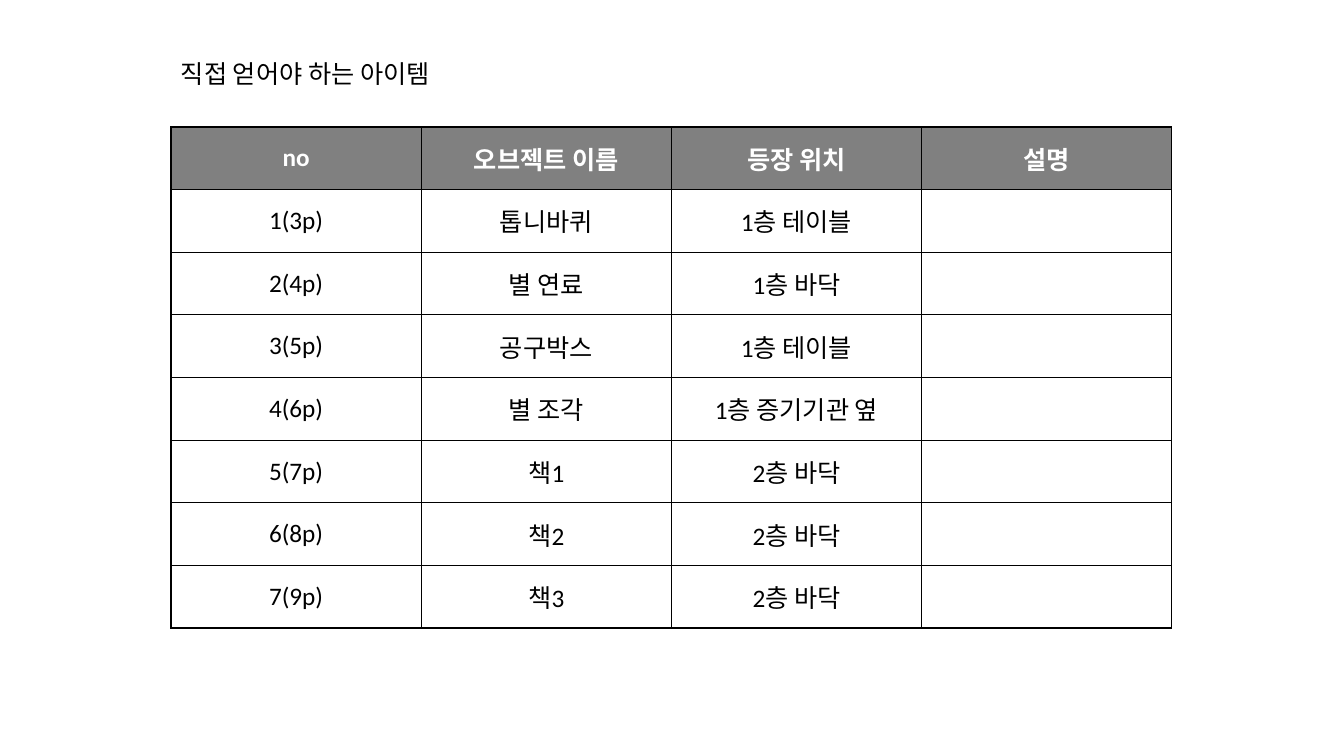
from pptx import Presentation
from pptx import util as u
from pptx.dml.color import RGBColor
from pptx.enum import text
from pptx.oxml import parse_xml
from pptx.oxml.ns import nsdecls

PX = 914400 / 100.8
BLACK = RGBColor(0x00, 0x00, 0x00)
WHITE = RGBColor(0xFF, 0xFF, 0xFF)
GRAY = RGBColor(0x80, 0x80, 0x80)

HEADINGS = ("no", "오브젝트 이름", "등장 위치", "설명")
ITEMS = (
    ("톱니바퀴", "1층 테이블"),
    ("별 연료", "1층 바닥"),
    ("공구박스", "1층 테이블"),
    ("별 조각", "1층 증기기관 옆"),
    ("책1", "2층 바닥"),
    ("책2", "2층 바닥"),
    ("책3", "2층 바닥"),
)


def px(*lengths):
    return [u.Emu(round(length * PX)) for length in lengths]


def add_run(para, words, color, bold=False):
    span = para.add_run()
    span.text = words
    span.font.name = "Calibri"
    span.font.size = u.Pt(18)
    span.font.bold = bold
    span.font.color.rgb = color


deck = Presentation()
deck.slide_width, deck.slide_height = px(1344, 756)
page = deck.slides.add_slide(deck.slide_layouts[6])

# Item table: numbers count from 1, pages from 3
rows = [HEADINGS]
for number, (name, place) in enumerate(ITEMS, start=1):
    rows.append((f"{number}({number + 2}p)", name, place, ""))
table = page.shapes.add_table(len(rows), len(HEADINGS), *px(171, 127, 1001, 501)).table

for row_index, row in enumerate(rows):
    is_header = row_index == 0
    for column_index, words in enumerate(row):
        cell = table.cell(row_index, column_index)
        cell.vertical_anchor = text.MSO_ANCHOR.MIDDLE
        # Borders come before the fill in the cell properties
        for side in "LRTB":
            cell._tc.get_or_add_tcPr().append(parse_xml(
                f'<a:ln{side} {nsdecls("a")} w="12700"><a:solidFill>'
                f'<a:srgbClr val="{BLACK}"/></a:solidFill></a:ln{side}>'))
        cell.fill.solid()
        cell.fill.fore_color.rgb = GRAY if is_header else WHITE
        para = cell.text_frame.paragraphs[0]
        para.alignment = text.PP_ALIGN.CENTER
        if words:
            add_run(para, words, WHITE if is_header else BLACK, is_header)

# Title above the table
box = page.shapes.add_textbox(*px(171, 53, 293, 40))
box.text_frame.word_wrap = False
box.text_frame.auto_size = text.MSO_AUTO_SIZE.SHAPE_TO_FIT_TEXT
add_run(box.text_frame.paragraphs[0], "직접 얻어야 하는 아이템", BLACK)

deck.save("out.pptx")
